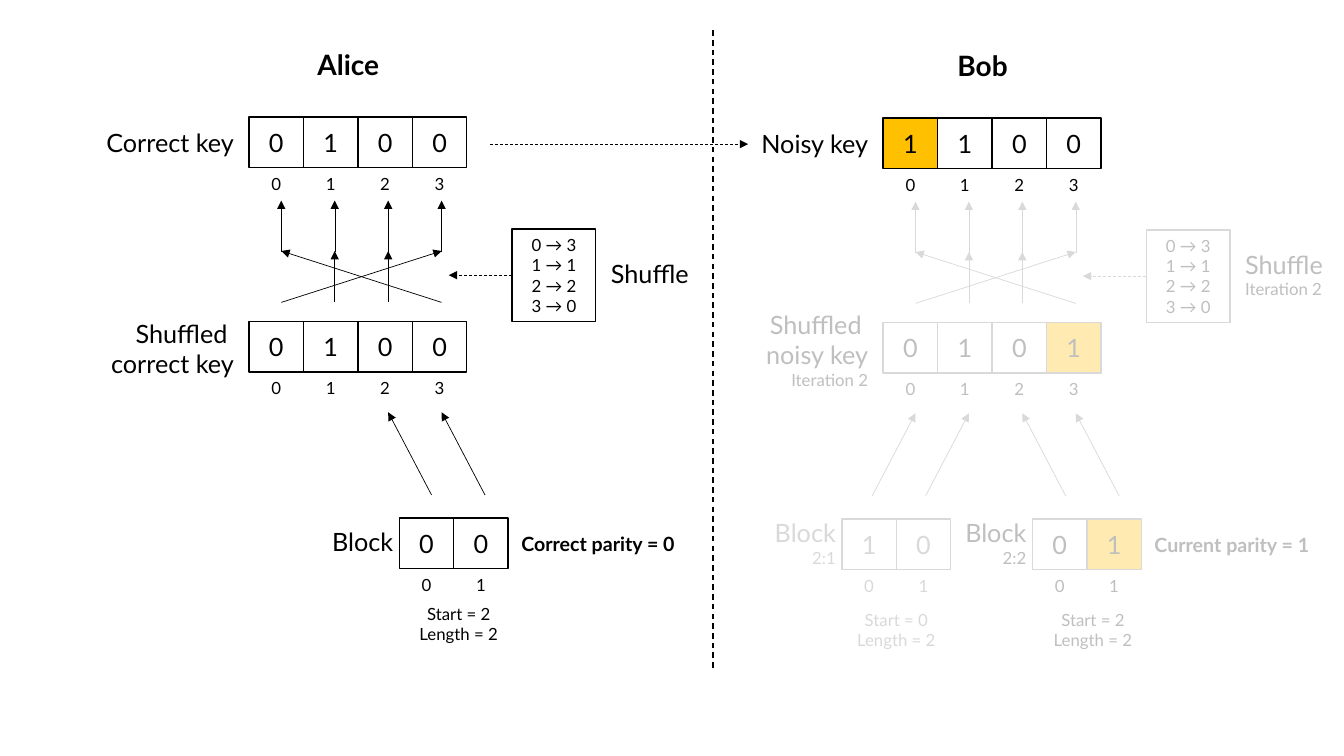
from pptx import Presentation
from pptx.dml.color import RGBColor
from pptx.enum.dml import MSO_LINE
from pptx.enum.shapes import MSO_CONNECTOR, MSO_SHAPE
from pptx.enum.text import MSO_ANCHOR, PP_ALIGN
from pptx.oxml.ns import qn
from pptx.util import Inches, Pt
from lxml.etree import SubElement

BLACK, GRAY, PALE, AMBER = "000000", "BFBFBF", "D9D9D9", "FFC000"
LEFT, CENTER, RIGHT = PP_ALIGN.LEFT, PP_ALIGN.CENTER, PP_ALIGN.RIGHT
CELL_WIDTH, CELL_HEIGHT, INDEX_HEIGHT = 0.54, 0.5, 0.26
BIT_PITCH = 0.53
SHUFFLE = [3, 1, 2, 0]

presentation = Presentation()
presentation.slide_width, presentation.slide_height = Inches(13.33), Inches(7.5)
slide = presentation.slides.add_slide(presentation.slide_layouts[6])


def add_box(left, top, width, height, text, size, color, align=CENTER, note="",
            bold=False, anchor=MSO_ANCHOR.MIDDLE, outline=None, fill=None, opacity=100):
    """Add a text box, or a rectangle if outlined; the note is a smaller last line."""
    place = [Inches(length) for length in (left, top, width, height)]
    if outline:
        shape = slide.shapes.add_shape(MSO_SHAPE.RECTANGLE, *place)
        shape.shadow.inherit = False
        shape.line.color.rgb = RGBColor.from_string(outline)
        shape.line.width = Pt(1)
        shape.fill.background()
    else:
        shape = slide.shapes.add_textbox(*place)
    if fill:
        shape.fill.solid()
        shape.fill.fore_color.rgb = RGBColor.from_string(fill)
        if opacity < 100:
            fill_color = shape.fill._xPr.find(qn("a:solidFill"))[0]
            SubElement(fill_color, qn("a:alpha"), val=str(opacity * 1000))
    frame = shape.text_frame
    frame.margin_left = frame.margin_right = frame.margin_top = frame.margin_bottom = 0
    frame.word_wrap = True
    frame.vertical_anchor = anchor
    frame.text = f"{text}\n{note}" if note else text
    for paragraph in frame.paragraphs:
        paragraph.alignment = align
        for run in paragraph.runs:
            run.font.name = "Lato"
            run.font.size = Pt(12 if run.text == note else size)
            run.font.bold = bold
            run.font.color.rgb = RGBColor.from_string(color)
    return shape


def add_line(start, end, color, width=0.5, dash=None, arrow=True):
    ends = [Inches(length) for length in (*start, *end)]
    connector = slide.shapes.add_connector(MSO_CONNECTOR.STRAIGHT, *ends)
    connector.line.color.rgb = RGBColor.from_string(color)
    connector.line.width = Pt(width)
    if dash:
        connector.line.dash_style = dash
    if arrow:
        SubElement(connector.line._get_or_add_ln(), qn("a:tailEnd"), type="triangle")
    SubElement(connector._element.spPr, qn("a:effectLst"))
    return connector


# Each block: left, bits, first bit, colour, note, start text left and top, parity
sides = [
    dict(name="Alice", left=2.47, top=1.16, color=BLACK, line=BLACK,
         key="Correct key", key_bits="0100", key_error=None,
         shuffled="Shuffled \ncorrect key", shuffled_bits="0100", error=None, iteration="",
         blocks=[(3.96, "00", 2, BLACK, "", 4.01, 5.93, "Correct parity = 0")]),
    dict(name="Bob", left=8.76, top=1.17, color=GRAY, line=PALE,
         key="Noisy key", key_bits="1100", key_error=0,
         shuffled="Shuffled \nnoisy key", shuffled_bits="0101", error=3,
         iteration="Iteration 2",
         blocks=[(8.35, "10", 0, PALE, "2:1", 8.35, 5.99, ""),
                 (10.24, "01", 2, GRAY, "2:2", 10.3, 5.99, "Current parity = 1")]),
]

for side in sides:
    left, top, color, line = side["left"], side["top"], side["color"], side["line"]
    bit_x = [left + 0.32 + BIT_PITCH * bit for bit in range(4)]

    # Headings and labels
    add_box(left + 0.34, top - 0.77, 1.29, 0.5, side["name"], 20, BLACK, bold=True)
    add_box(left - 1.44, top, 1.29, CELL_HEIGHT, side["key"], 18, BLACK, RIGHT)
    add_box(left - 1.59, top + 1.89, 1.44, 0.81, side["shuffled"], 18, color, RIGHT,
            note=side["iteration"])
    add_box(left + 3.59, top + 1.3, 0.92, 0.5, "Shuffle", 18, color, LEFT,
            note=side["iteration"])

    # Rows of bits with their indices
    registers = [(left, top, side["key_bits"], BLACK, BLACK, side["key_error"], 100),
                 (left, top + 2.03, side["shuffled_bits"], color, line, side["error"], 30)]
    for block_left, bits, first, block_color, *_ in side["blocks"]:
        block_error = None if side["error"] is None else side["error"] - first
        registers.append((block_left, top + 3.98, bits, block_color, line, block_error, 30))
    for row_left, row_top, bits, bit_color, outline, error, opacity in registers:
        for index, bit in enumerate(bits):
            cell_left = row_left + index * CELL_WIDTH
            add_box(cell_left, row_top, CELL_WIDTH, CELL_HEIGHT, bit, 18, bit_color,
                    outline=outline, fill=AMBER if index == error else None,
                    opacity=opacity)
            add_box(cell_left, row_top + CELL_HEIGHT, CELL_WIDTH, INDEX_HEIGHT, str(index),
                    12, bit_color, anchor=MSO_ANCHOR.BOTTOM)

    # Shuffle arrows and table
    for source, target in enumerate(SHUFFLE):
        add_line((bit_x[source], top + 1.33), (bit_x[source], top + 0.83), line, 0.25,
                 MSO_LINE.ROUND_DOT)
        add_line((bit_x[source], top + 1.84), (bit_x[target], top + 1.33), line)
    mapping = "\n".join(f"{source} → {target}" for source, target in enumerate(SHUFFLE))
    table = add_box(left + 2.61, top + 1.11, 0.83, 0.92, mapping, 12, color, outline=line)
    pointer = add_line((left + 2.61, top + 1.57), (left + 1.98, top + 1.57), line,
                       dash=MSO_LINE.DASH)
    pointer.begin_connect(table, 1)

    # Blocks
    for block_left, bits, first, block_color, note, start_left, start_top, parity in side["blocks"]:
        add_box(block_left - 0.83, top + 3.96, 0.77, 0.5, "Block", 18, block_color, RIGHT,
                note=note)
        add_box(start_left, start_top, 1.08, 0.52, f"Start = {first}\nLength = {len(bits)}",
                12, block_color)
        if parity:
            add_box(block_left + 1.21, top + 4.02, 1.65, 0.43, parity, 14, block_color, LEFT,
                    bold=True)
        shift = 0.43 if first else -0.43
        for x in bit_x[first:first + len(bits)]:
            add_line((x + shift, top + 3.75), (x, top + 2.93), line)

# Divider and key transmission
add_line((7.07, 0.3), (7.07, 6.65), BLACK, 1, MSO_LINE.DASH, arrow=False)
add_line((4.86, 1.43), (7.42, 1.43), BLACK, dash=MSO_LINE.DASH)

presentation.save("out.pptx")
